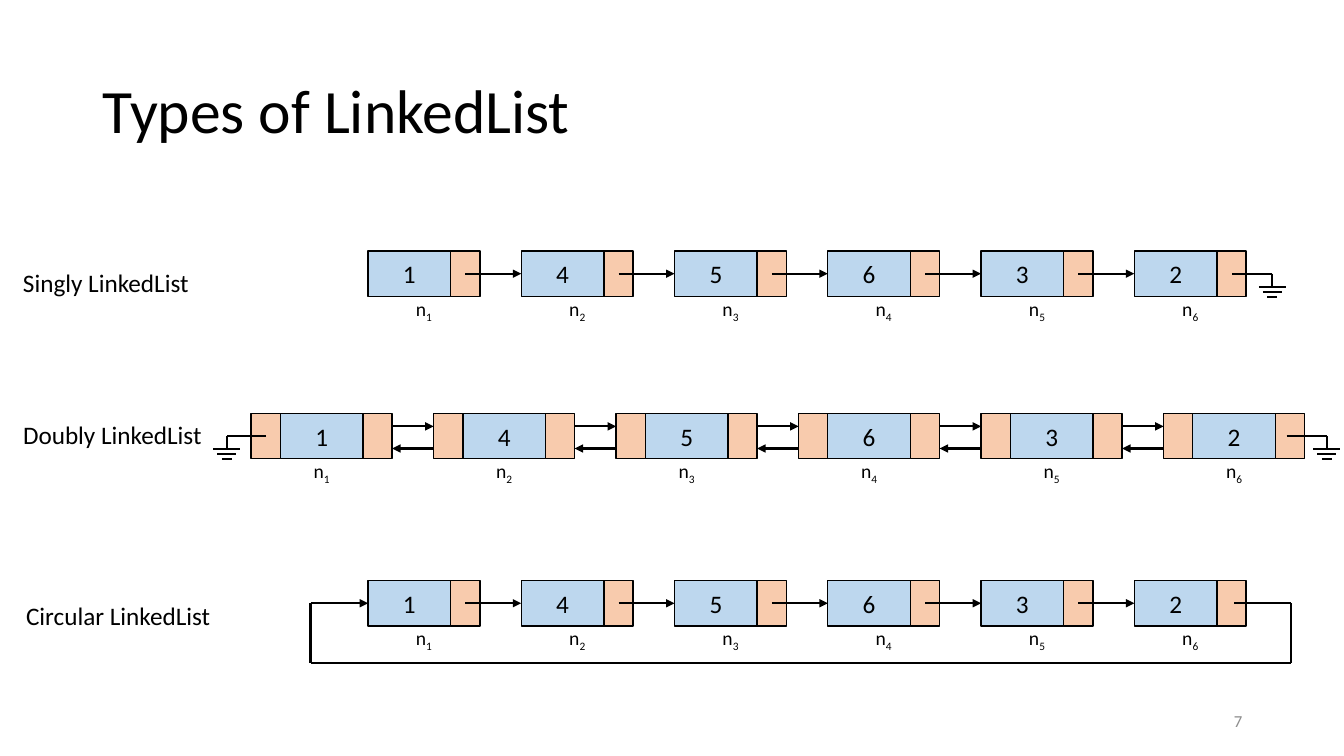
from lxml import etree
from pptx import Presentation
from pptx import util as u
from pptx.dml.color import RGBColor
from pptx.enum import shapes, text
from pptx.oxml.ns import qn

COLORS = {"ink": "000000", "data": "BDD7EE", "pointer": "F8CBAD", "muted": "8C8C8C"}
VALUES = ["1", "4", "5", "6", "3", "2"]
DATA_WIDTH, POINTER_WIDTH, NODE_HEIGHT = 0.82, 0.29, 0.45
MIDDLE = NODE_HEIGHT / 2


def color(name):
    return RGBColor.from_string(COLORS[name])


def write(para, words, size=18, ink="ink", align=None, baseline=None):
    """Append a formatted run; baseline is a percentage, negative for a subscript."""
    if align is not None:
        para.alignment = align
    span = para.add_run()
    span.text = words
    span.font.name = "Calibri"
    span.font.size = u.Pt(size)
    span.font.color.rgb = color(ink)
    if baseline is not None:
        span.font._element.set("baseline", str(baseline * 1000))


class ListSlide:
    """Slide of linked-list diagrams; all lengths are in inches."""

    def __init__(self, deck):
        self.page = deck.slides.add_slide(deck.slide_layouts[5])

    def title(self, words):
        box = self.page.shapes.title
        box.left, box.top = u.Inches(0.92), u.Inches(0.4)
        box.width, box.height = u.Inches(11.5), u.Inches(1.45)
        box.text_frame.vertical_anchor = text.MSO_ANCHOR.MIDDLE
        para = box.text_frame.paragraphs[0]
        para.line_spacing = 0.9
        write(para, words, size=44, align=text.PP_ALIGN.LEFT)

    def text_box(self, left, top, width, height):
        return self.page.shapes.add_textbox(
            u.Inches(left), u.Inches(top), u.Inches(width), u.Inches(height))

    def heading(self, words, left, top, width):
        frame = self.text_box(left, top, width, 0.4).text_frame
        frame.word_wrap = False
        frame.auto_size = text.MSO_AUTO_SIZE.SHAPE_TO_FIT_TEXT
        write(frame.paragraphs[0], words)

    def page_number(self, words):
        frame = self.text_box(9.42, 6.95, 3, 0.4).text_frame
        frame.word_wrap = True
        frame.vertical_anchor = text.MSO_ANCHOR.MIDDLE
        write(frame.paragraphs[0], words, size=12, ink="muted", align=text.PP_ALIGN.RIGHT)

    def node_name(self, index, left, top, width):
        frame = self.text_box(left, top, width, 0.25).text_frame
        frame.word_wrap = True
        frame.vertical_anchor = text.MSO_ANCHOR.MIDDLE
        frame.margin_top = frame.margin_bottom = 0
        para = frame.paragraphs[0]
        write(para, "n", size=14, align=text.PP_ALIGN.CENTER)
        write(para, str(index), size=14, baseline=-25)

    def cell(self, left, top, width, fill, value=""):
        box = self.page.shapes.add_shape(
            shapes.MSO_SHAPE.RECTANGLE, u.Inches(left), u.Inches(top),
            u.Inches(width), u.Inches(NODE_HEIGHT))
        box.shadow.inherit = False
        box.fill.solid()
        box.fill.fore_color.rgb = color(fill)
        box.line.color.rgb = color("ink")
        box.line.width = u.Pt(1)
        if value:
            box.text_frame.vertical_anchor = text.MSO_ANCHOR.MIDDLE
            write(box.text_frame.paragraphs[0], value, align=text.PP_ALIGN.CENTER)
        return box

    def line(self, start, end, arrow=False, target=None):
        """Draw a line; a target box is joined at the middle of its left side."""
        link = self.page.shapes.add_connector(
            shapes.MSO_CONNECTOR.STRAIGHT, *(u.Inches(n) for n in (*start, *end)))
        link.line.color.rgb = color("ink")
        link.line.width = u.Pt(1.5)
        if arrow:
            etree.SubElement(link.line._get_or_add_ln(), qn("a:tailEnd"), type="triangle")
        etree.SubElement(link._element.spPr, qn("a:effectLst"))
        if target is not None:
            link.end_connect(target, 1)

    def ground(self, start, x, y):
        """Draw the null symbol hanging at x, wired from start at height y."""
        self.line((start, y), (x, y))
        self.line((x, y), (x, y + 0.13))
        for drop, width in ((0.13, 0.27), (0.18, 0.19), (0.23, 0.1)):
            self.line((x - width / 2, y + drop), (x + width / 2, y + drop))

    def chain(self, first, top, pitch, double=False):
        """Draw the nodes and the links between them; return the first data cell."""
        back = POINTER_WIDTH if double else 0
        width = back + DATA_WIDTH + POINTER_WIDTH
        lefts = [first + pitch * i for i in range(len(VALUES))]
        cells = []
        for index, (left, value) in enumerate(zip(lefts, VALUES), 1):
            if double:
                self.cell(left, top, POINTER_WIDTH, "pointer")
            cells.append(self.cell(left + back, top, DATA_WIDTH, "data", value))
            self.cell(left + back + DATA_WIDTH, top, POINTER_WIDTH, "pointer")
            self.node_name(index, left, top + 0.46, width)
        for left, following, target in zip(lefts, lefts[1:], cells[1:]):
            right = left + width
            if double:
                self.line((right, top + 0.13), (following, top + 0.13), arrow=True)
                self.line((following, top + 0.35), (right, top + 0.35), arrow=True)
            else:
                self.line((right - POINTER_WIDTH / 2, top + MIDDLE),
                          (following, top + MIDDLE), arrow=True, target=target)
        return cells[0]

    def return_loop(self, top, target):
        """Lead the last pointer below the row and back into the first node."""
        left, right, y, bottom = 3.08, 12.8, top + MIDDLE, 6.58
        self.line((12.24, y), (right, y))
        self.line((right, y), (right, bottom))
        self.line((left, bottom), (right, bottom))
        self.line((left, y), (left, bottom))
        self.line((left, y), (3.65, y), arrow=True, target=target)


def main():
    deck = Presentation()
    deck.slide_width, deck.slide_height = u.Inches(13.33), u.Inches(7.5)
    slide = ListSlide(deck)
    slide.title("Types of LinkedList")

    slide.heading("Singly LinkedList", 0.13, 2.6, 1.87)
    slide.chain(3.65, 2.49, 1.52)
    slide.ground(12.22, 12.62, 2.49 + MIDDLE)

    slide.heading("Doubly LinkedList", 0.13, 4.11, 1.99)
    slide.chain(2.49, 4.1, 1.81, double=True)
    slide.ground(12.76, 13.16, 4.1 + MIDDLE)
    slide.ground(2.64, 2.25, 4.1 + MIDDLE)

    slide.heading("Circular LinkedList", 0.16, 5.91, 2.05)
    first_node = slide.chain(3.65, 5.76, 1.52)
    slide.return_loop(5.76, first_node)

    slide.page_number("7")
    deck.save("out.pptx")


if __name__ == "__main__":
    main()
